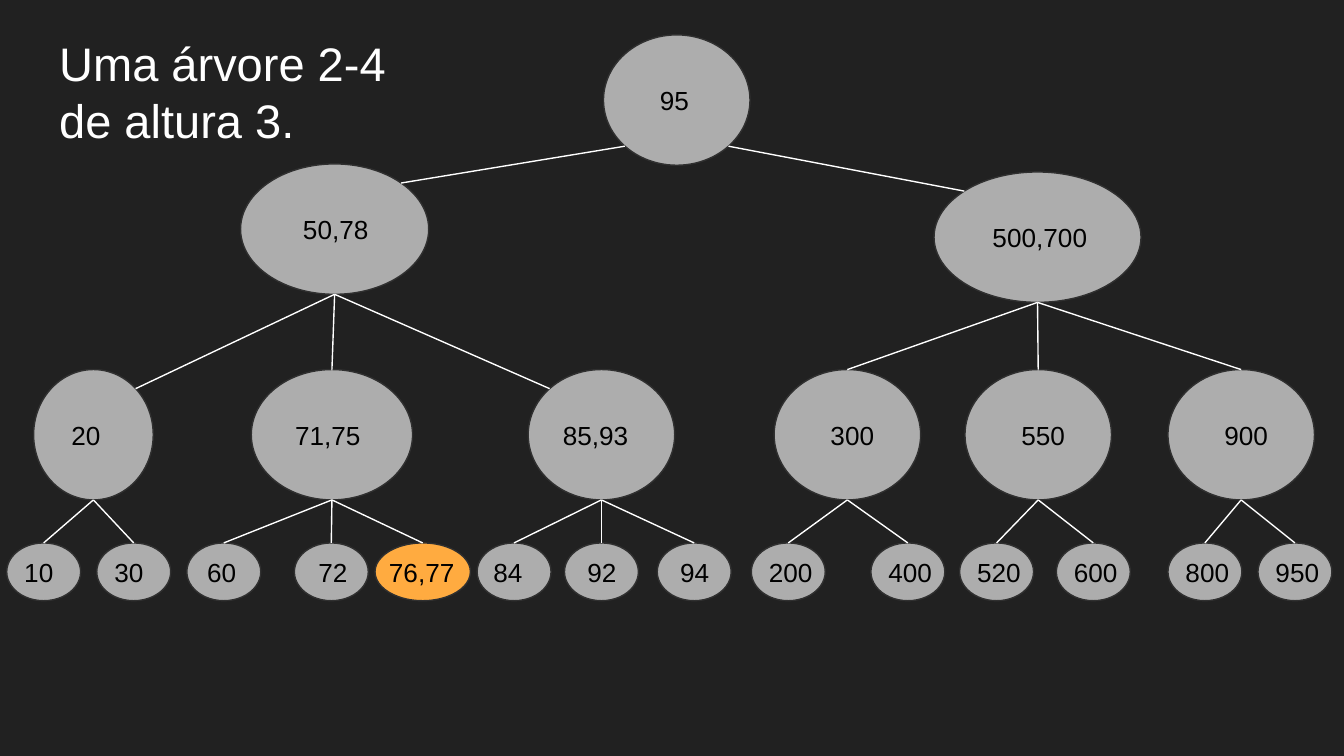
import pptx
import pptx.dml.color
import pptx.enum.shapes
import pptx.enum.text
import pptx.oxml.ns
import pptx.util
import lxml.etree

Inches = pptx.util.Inches
Pt = pptx.util.Pt

GREY, GOLD = "ADADAD", "FFAB40"
EDGE = 0.5 - 0.5 ** 0.5 / 2
SITES = {
    "top": (0.5, 0), "bottom": (0.5, 1),
    "left": (EDGE, EDGE), "right": (1 - EDGE, EDGE),
    "low left": (EDGE, 1 - EDGE), "low right": (1 - EDGE, 1 - EDGE),
}

INNER = [
    ("20", "50,78", 0.2, 0.89, 0.15),
    ("71,75", "50,78", 1.82, 1.2, 0.15),
    ("85,93", "50,78", 3.88, 1.09, 0.1),
    ("300", "500,700", 5.71, 1.09, 0.26),
    ("550", "500,700", 7.13, 1.09, 0.26),
    ("900", "500,700", 8.64, 1.09, 0.26),
]
LEAVES = [
    ("10", "20", 0, 0.55, 0.05),
    ("30", "20", 0.67, 0.55, 0.05),
    ("60", "71,75", 1.34, 0.55, 0.07),
    ("72", "71,75", 2.14, 0.55, 0.1),
    ("76,77", "71,75", 2.74, 0.71, 0),
    ("84", "85,93", 3.5, 0.55, 0.04),
    ("92", "85,93", 4.15, 0.55, 0.09),
    ("94", "85,93", 4.84, 0.55, 0.09),
    ("200", "300", 5.54, 0.55, 0.05),
    ("400", "300", 6.43, 0.55, 0.05),
    ("520", "550", 7.09, 0.55, 0.05),
    ("600", "550", 7.81, 0.55, 0.05),
    ("800", "900", 8.64, 0.55, 0.05),
    ("950", "900", 9.31, 0.55, 0.05),
]
ROWS = [
    (0, 0.97, [("95", None, 4.44, 1.09, 0.26)]),
    (0.96, 0.97, [("50,78", "95", 1.74, 1.4, 0.26)]),
    (1.02, 0.97, [("500,700", "95", 6.9, 1.54, 0.21)]),
    (2.49, 0.97, INNER),
    (3.78, 0.43, LEAVES),
]
JOINS = {
    "50,78": ("low left", "right"),
    "500,700": ("low right", "left"),
    "20": ("bottom", "right"),
    "85,93": ("bottom", "left"),
}


def color(code):
    return pptx.dml.color.RGBColor.from_string(code)


def style(par, size, code):
    par.alignment = pptx.enum.text.PP_ALIGN.LEFT
    for run in par.runs:
        run.font.name = "Arial"
        run.font.size = Pt(size)
        run.font.color.rgb = color(code)


def pad(frame, left, right):
    frame.margin_left, frame.margin_right = Inches(left), Inches(right)
    frame.margin_top = frame.margin_bottom = Inches(0.1)


def head(slide, left, top, width, height):
    title = slide.shapes.title
    title.left, title.top = Inches(left), Inches(top)
    title.width, title.height = Inches(width), Inches(height)
    frame = title.text_frame
    frame.text = "Uma árvore 2-4 \vde altura 3."
    frame.word_wrap = True
    frame.auto_size = pptx.enum.text.MSO_AUTO_SIZE.NONE
    frame.vertical_anchor = pptx.enum.text.MSO_ANCHOR.TOP
    pad(frame, 0.1, 0.1)
    par = frame.paragraphs[0]
    par.line_spacing = 1.0
    style(par, 25.2, "FFFFFF")


def node(slide, label, box, inset, fill):
    oval = slide.shapes.add_shape(
        pptx.enum.shapes.MSO_SHAPE.OVAL, *[Inches(part) for part in box])
    oval.shadow.inherit = False
    oval.fill.solid()
    oval.fill.fore_color.rgb = color(fill)
    oval.line.color.rgb = color("303030")
    oval.line.width = Pt(0.75)
    frame = oval.text_frame
    frame.text = label
    frame.word_wrap = True
    frame.vertical_anchor = pptx.enum.text.MSO_ANCHOR.MIDDLE
    pad(frame, inset, 0)
    style(frame.paragraphs[0], 14, "000000")


def point(box, site):
    left, top, width, height = box
    across, down = SITES[site]
    return Inches(left + across * width), Inches(top + down * height)


def link(slide, start, end):
    line = slide.shapes.add_connector(
        pptx.enum.shapes.MSO_CONNECTOR.STRAIGHT, *start, *end)
    line.line.color.rgb = color("FFFFFF")
    line.line.width = Pt(0.75)
    props = line._element.spPr
    lxml.etree.SubElement(props, pptx.oxml.ns.qn("a:effectLst"))


def tree(slide, left, top):
    boxes = {}
    for down, height, nodes in ROWS:
        for label, parent, across, width, inset in nodes:
            box = (left + across, top + down, width, height)
            boxes[label] = box
            node(slide, label, box, inset, GOLD if label == "76,77" else GREY)
            if parent:
                out, into = JOINS.get(label, ("bottom", "top"))
                link(slide, point(boxes[parent], out), point(box, into))


def main():
    deck = pptx.Presentation()
    deck.slide_width = Inches(10)
    deck.slide_height = deck.slide_width * 9 // 16
    slide = deck.slides.add_slide(deck.slide_layouts.get_by_name("Title Only"))
    back = slide.background.fill
    back.solid()
    back.fore_color.rgb = color("212121")
    head(slide, 0.34, 0.16, 9.32, 0.63)
    tree(slide, 0.05, 0.26)
    deck.save("out.pptx")


if __name__ == "__main__":
    main()
